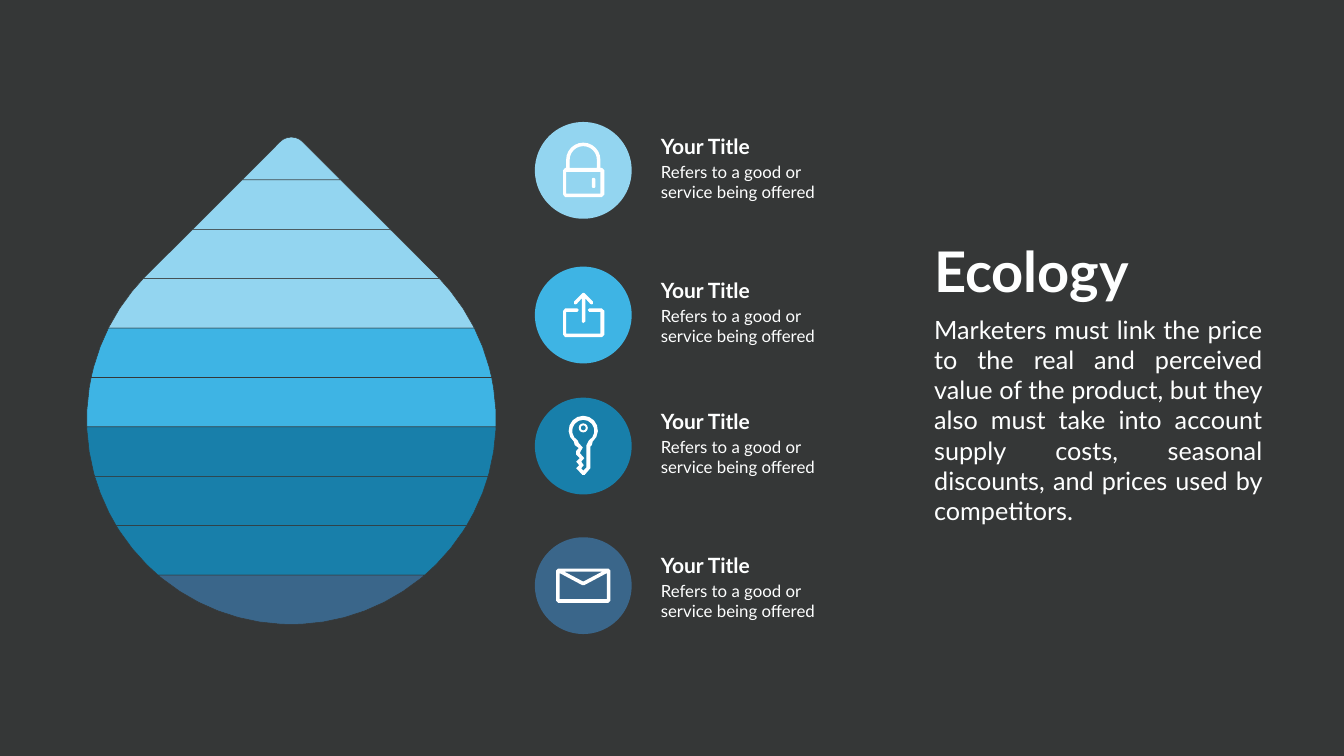
from dataclasses import dataclass
from itertools import pairwise
from math import cos, radians, sin, sqrt

from lxml.etree import SubElement
from pptx import Presentation
from pptx.dml.color import RGBColor
from pptx.enum.shapes import MSO_SHAPE
from pptx.enum.text import MSO_ANCHOR, MSO_AUTO_SIZE, PP_ALIGN
from pptx.oxml.ns import qn
from pptx.util import Pt

EMU_PER_PX = 9144  # 100 px to the inch
Point = tuple[float, float]
Contour = list[Point]


@dataclass(frozen=True)
class Theme:
    background: str = "353737"
    text: str = "FEFFFF"
    icon: str = "FFFFFF"
    light: str = "93D5F0"
    sky: str = "3EB4E4"
    teal: str = "187FAA"
    slate: str = "3A668A"
    font: str = "Lato"
    heading_size: int = 80
    body_size: int = 36
    card_title_size: int = 30
    card_text_size: int = 24
    band_line: float = 0.75


@dataclass(frozen=True)
class Card:
    center_y: int
    text_top: int
    color: str
    bands: int  # slices of the drop in this colour
    icon: list[list[Contour]]  # shapes, each an outline followed by its holes


THEME = Theme()
BAND_HEIGHT = 98
DISC_X, DISC_RADIUS = 1157, 96
TEXT_X = 1301
CAP_Y, CAP_RADIUS = 304, 32
BOWL_Y, BOWL_RADIUS = 833, 406
ARC_STEPS = 12


def px(value: float) -> int:
    return round(value * EMU_PER_PX)


def rgb(color: str) -> RGBColor:
    return RGBColor.from_string(color)


# Geometry helpers
def arc(center_y: float, radius: float, start: int, end: int) -> Contour:
    """Clockwise arc centred on x = 0, angles in degrees from the right."""
    angles = [radians(start + (end - start) * step / ARC_STEPS) for step in range(ARC_STEPS + 1)]
    return [(radius * cos(a), center_y + radius * sin(a)) for a in angles]


def cut_rect(left: int, top: int, right: int, bottom: int, cut: int) -> Contour:
    """Rectangle with small cut corners."""
    return [(left + cut, top), (right - cut, top), (right, top + cut), (right, bottom - cut),
            (right - cut, bottom), (left + cut, bottom), (left, bottom - cut), (left, top + cut)]


def drop_half_width(y: float) -> float:
    """Round cap, then 45 degree sides, then a circle."""
    if y < 281:
        return sqrt(max(0, CAP_RADIUS ** 2 - (y - CAP_Y) ** 2))
    if y < 546:
        return y - 259
    return sqrt(max(0, BOWL_RADIUS ** 2 - (y - BOWL_Y) ** 2))


# Heights at which the curved parts of the drop are sampled
CURVE_LEVELS = [CAP_Y - CAP_RADIUS * cos(radians(a)) for a in range(15, 46, 15)]
CURVE_LEVELS += [BOWL_Y - BOWL_RADIUS * cos(radians(a)) for a in range(45, 180, 6)]

# Icons, in px from the centre of their disc
LOCK = [
    [[(-40, 0), (-36, -5), (-34, -5), *arc(-21, 34, 180, 360), (34, -5), (37, -5), (42, 0),
      (42, 48), (37, 53), (-36, 53), (-40, 48)],
     [(-27, -5), *arc(-21, 27, 180, 360), (27, -5)],
     [(-34, 3), (34, 3), (34, 46), (-34, 46)]],
    [cut_rect(17, 15, 24, 35, 2)],
]
SHARE = [
    [[(-36, -13), (-12, -13), (-9, -10), (-12, -6), (-34, -6), (-34, 37), (34, 37), (34, -6),
      (12, -6), (9, -10), (12, -13), (37, -13), (42, -8), (42, 39), (37, 44), (-36, 44),
      (-40, 39), (-40, -8)]],
    [[(0, -44), (3, -43), (19, -27), (19, -22), (17, -21), (14, -22), (4, -33), (4, 13), (0, 16),
      (-3, 13), (-3, -33), (-13, -22), (-16, -21), (-18, -22), (-18, -27), (-2, -43)]],
]
KEY = [
    [[*arc(-31, 29, 130, 410), (17, -2), (14, 1), (14, 44), (3, 57), (-2, 57),
      (-14, 44), (-8, 38), (-14, 31), (-7, 24), (-14, 17), (-14, 10), (-9, 4), (-17, -2)],
     [*arc(-30, 22, 120, 420), (6, -1), (6, 43), (0, 49), (-4, 44), (1, 38),
      (-4, 31), (2, 24), (-6, 15), (-6, 12), (-1, 3), (-9, -6)]],
    [arc(-36, 9, 0, 360), arc(-36, 5, 0, 360)],
]
ENVELOPE = [
    [cut_rect(-54, -34, 54, 34, 4),
     [(-38, -28), (38, -28), (0, -8)],
     [(-47, -25), (-2, -1), (2, -1), (47, -25), (47, 27), (-47, 27)]],
]

CARDS = [
    Card(338, 260, THEME.light, 4, LOCK),
    Card(625, 546, THEME.sky, 2, SHARE),
    Card(885, 806, THEME.teal, 3, KEY),
    Card(1162, 1091, THEME.slate, 1, ENVELOPE),
]


# Drawing functions
def paint(shape, color: str, line: str | None = None) -> None:
    shape.shadow.inherit = False
    shape.fill.solid()
    shape.fill.fore_color.rgb = rgb(color)
    if line is None:
        shape.line.fill.background()
    else:
        shape.line.color.rgb = rgb(line)
        shape.line.width = Pt(THEME.band_line)


def draw_outline(page, contours: list[Contour], color: str, line: str | None = None,
                 x: int = 0, y: int = 0) -> None:
    placed = [[(px(x + dx), px(y + dy)) for dx, dy in contour] for contour in contours]
    builder = page.shapes.build_freeform(*placed[0][0], scale=1.0)
    for index, contour in enumerate(placed):
        if index:
            builder.move_to(*contour[0])
        builder.add_line_segments(contour[1:], close=True)
    paint(builder.convert_to_shape(), color, line)


def draw_drop(page, center_x: int) -> None:
    edges = [CAP_Y - CAP_RADIUS, *range(357, 1240, BAND_HEIGHT)]
    colors = [card.color for card in CARDS for _ in range(card.bands)]
    for (top, bottom), color in zip(pairwise(edges), colors):
        levels = [top, *(y for y in CURVE_LEVELS if top < y < bottom), bottom]
        right = [(drop_half_width(y), y) for y in levels]
        left = [(-width, y) for width, y in reversed(right)]
        draw_outline(page, [right + left], color, THEME.background, x=center_x)


def fill_text(box, frame: tuple[int, int, int, int], lines: list[str], size: int,
              bold: bool = False, align: PP_ALIGN = PP_ALIGN.LEFT) -> None:
    box.left, box.top, box.width, box.height = map(px, frame)
    text_format = {"word_wrap": True, "auto_size": MSO_AUTO_SIZE.NONE,
                   "vertical_anchor": MSO_ANCHOR.TOP}
    font_format = {"name": THEME.font, "size": Pt(size), "bold": bold}
    for name, value in text_format.items():
        setattr(box.text_frame, name, value)
    box.text_frame.text = "\n".join(lines)
    for para in box.text_frame.paragraphs:
        para.alignment = align
        para.space_before = Pt(0)
        for span in para.runs:
            for name, value in font_format.items():
                setattr(span.font, name, value)
            span.font.color.rgb = rgb(THEME.text)


def draw_card(page, card: Card) -> None:
    disc = page.shapes.add_shape(MSO_SHAPE.OVAL, px(DISC_X - DISC_RADIUS),
                                 px(card.center_y - DISC_RADIUS),
                                 px(2 * DISC_RADIUS), px(2 * DISC_RADIUS))
    paint(disc, card.color)
    for contours in card.icon:
        draw_outline(page, contours, THEME.icon, x=DISC_X, y=card.center_y)
    fill_text(page.shapes.add_textbox(0, 0, 0, 0), (TEXT_X, card.text_top, 224, 71),
              ["Your Title"], THEME.card_title_size, bold=True)
    fill_text(page.shapes.add_textbox(0, 0, 0, 0), (TEXT_X, card.text_top + 56, 341, 104),
              ["Refers to a good or", "service being offered"], THEME.card_text_size)


def main() -> None:
    deck = Presentation()
    deck.slide_width, deck.slide_height = px(2666), px(1500)
    page = deck.slides.add_slide(deck.slide_layouts[1])
    page.background.fill.solid()
    page.background.fill.fore_color.rgb = rgb(THEME.background)

    # Drop and its legend
    draw_drop(page, 578)
    for card in CARDS:
        draw_card(page, card)

    # Heading and description
    fill_text(page.shapes.title, (1843, 465, 424, 145), ["Ecology"], THEME.heading_size, bold=True)
    body = page.placeholders[1]
    fill_text(body, (1843, 618, 671, 440),
              ["Marketers must link the price to the real and perceived value of the product, "
               "but they also must take into account supply costs, seasonal discounts, "
               "and prices used by competitors."],
              THEME.body_size, align=PP_ALIGN.JUSTIFY)
    properties = body.text_frame.paragraphs[0]._p.get_or_add_pPr()
    for name in ("marL", "indent"):
        properties.set(name, "0")
    SubElement(properties, qn("a:buNone"))

    deck.save("out.pptx")


if __name__ == "__main__":
    main()
